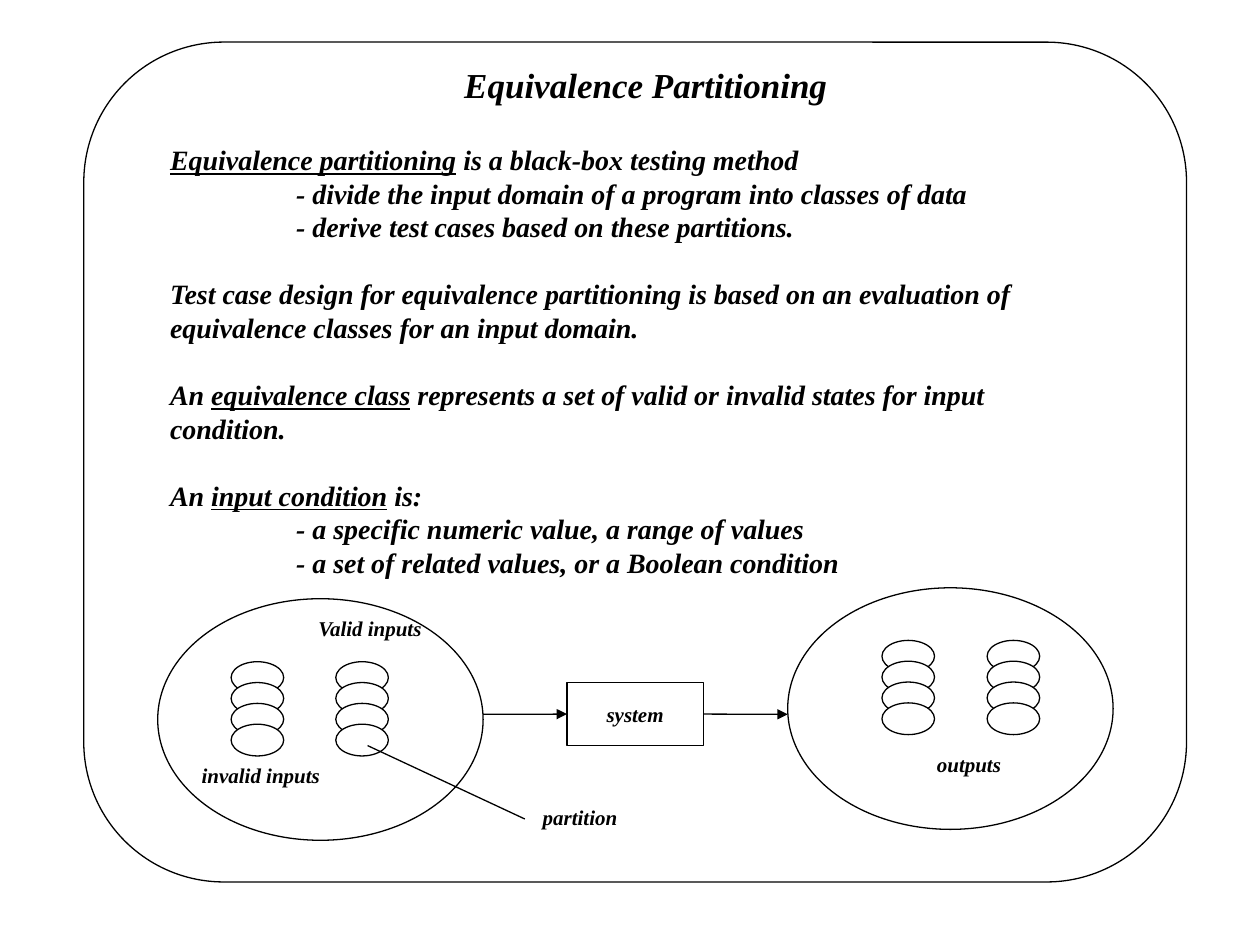
from lxml import etree
from pptx import Presentation
from pptx.dml.color import RGBColor
from pptx.enum.shapes import MSO_CONNECTOR, MSO_SHAPE
from pptx.enum.text import MSO_ANCHOR, MSO_AUTO_SIZE, PP_ALIGN
from pptx.oxml.ns import qn
from pptx.util import Cm, Pt

STRAIGHT = MSO_CONNECTOR.STRAIGHT
ELLIPSE, RECTANGLE = MSO_SHAPE.OVAL, MSO_SHAPE.RECTANGLE
FRAME = MSO_SHAPE.FLOWCHART_ALTERNATE_PROCESS
LEFT, CENTER = PP_ALIGN.LEFT, PP_ALIGN.CENTER
TOP, MIDDLE = MSO_ANCHOR.TOP, MSO_ANCHOR.MIDDLE
GROW = MSO_AUTO_SIZE.SHAPE_TO_FIT_TEXT
LEFT_SIDE, RIGHT_SIDE = 1, 3

COLORS = {"ink": "000000", "paper": "FFFFFF"}

# Each block is a list of lines; underscores enclose underlined words
BODY = [
    ["_Equivalence partitioning_ is a black-box testing method",
     "\t- divide the input domain of a program into classes of data",
     "\t- derive test cases based on these partitions."],
    ["Test case design for equivalence partitioning is based on an evaluation "
     "of equivalence classes for an input domain."],
    ["An _equivalence class_ represents a set of valid or invalid states for "
     "input condition."],
    ["An _input condition_ is:",
     "\t- a specific numeric value, a range of values",
     "\t- a set of related values, or a Boolean condition"],
]


class DiagramSlide:
    """Holds the style and the slide being drawn; lengths are in centimetres."""

    font_name = "Times New Roman"
    line_width = Pt(0.75)
    body_pitch = Pt(19.2)

    def __init__(self, slide):
        self.slide = slide

    def color(self, name):
        return RGBColor.from_string(COLORS[name])

    def format_run(self, run, size, underline=None):
        font = run.font
        font.name, font.size = self.font_name, Pt(size)
        font.bold = font.italic = True
        font.underline = underline
        font.color.rgb = self.color("ink")

    def centered_text(self, text_frame, text, size):
        text_frame.text = text
        paragraph = text_frame.paragraphs[0]
        paragraph.alignment = CENTER
        self.format_run(paragraph.runs[0], size)

    def shape(self, kind, left, top, width, height, fill="paper", text=None):
        shape = self.slide.shapes.add_shape(
            kind, Cm(left), Cm(top), Cm(width), Cm(height))
        shape.shadow.inherit = False
        if fill:
            shape.fill.solid()
            shape.fill.fore_color.rgb = self.color(fill)
        else:
            shape.fill.background()
        shape.line.color.rgb = self.color("ink")
        shape.line.width = self.line_width
        if text:
            shape.text_frame.word_wrap = False
            shape.text_frame.vertical_anchor = MIDDLE
            self.centered_text(shape.text_frame, text, 12)
        return shape

    def text_box(self, left, top, width, height, wrap, anchor=TOP):
        box = self.slide.shapes.add_textbox(
            Cm(left), Cm(top), Cm(width), Cm(height))
        box.text_frame.word_wrap = wrap
        box.text_frame.vertical_anchor = anchor
        return box.text_frame

    def title(self, text, left, top, width, height):
        text_frame = self.text_box(left, top, width, height, True, MIDDLE)
        self.centered_text(text_frame, text, 20)

    def label(self, text, left, top, width):
        text_frame = self.text_box(left, top, width, 0.76, False)
        text_frame.auto_size = GROW
        self.centered_text(text_frame, text, 12)

    def body(self, blocks, left, top, width, height):
        text_frame = self.text_box(left, top, width, height, True)
        text_frame.auto_size = GROW
        paragraph = None
        for block in blocks:
            for index, line in enumerate(block):
                is_first = paragraph is None
                paragraph = (text_frame.paragraphs[0] if is_first
                             else text_frame.add_paragraph())
                paragraph.alignment = LEFT
                paragraph.line_spacing = self.body_pitch
                if index == 0 and not is_first:
                    paragraph.space_before = self.body_pitch
                if line.startswith("\t"):
                    self.tab_stop(paragraph, 2.54)
                for part, words in enumerate(line.split("_")):
                    if words:
                        run = paragraph.add_run()
                        run.text = words
                        self.format_run(run, 16, underline=part % 2 == 1)

    def tab_stop(self, paragraph, position):
        properties = paragraph._p.get_or_add_pPr()
        tabs = etree.SubElement(properties, qn("a:tabLst"))
        etree.SubElement(tabs, qn("a:tab"), pos=str(Cm(position)), algn="l")

    def connector(self, start, end, arrow=False):
        connector = self.slide.shapes.add_connector(
            STRAIGHT, *(Cm(value) for value in start + end))
        connector.line.color.rgb = self.color("ink")
        connector.line.width = self.line_width
        if arrow:
            line = connector.line._get_or_add_ln()
            etree.SubElement(line, qn("a:tailEnd"), type="triangle")
        etree.SubElement(connector._element.spPr, qn("a:effectLst"))
        return connector

    def partition_stack(self, left, top, count=4, step=0.42):
        for index in range(count):
            self.shape(ELLIPSE, left, top + index * step, 1.06, 0.64)


def main():
    presentation = Presentation()
    presentation.slide_width, presentation.slide_height = Cm(25.4), Cm(19.05)
    diagram = DiagramSlide(
        presentation.slides.add_slide(presentation.slide_layouts[6]))

    # Frame and text
    diagram.shape(FRAME, 1.69, 0.85, 22.23, 16.93, fill=None)
    diagram.title("Equivalence Partitioning", 6.35, 1.27, 13.34, 0.85)
    diagram.body(BODY, 3.18, 2.75, 19.26, 9.07)

    # Input domain, system and output domain
    diagram.shape(ELLIPSE, 3.18, 12.07, 6.56, 4.87)
    system = diagram.shape(RECTANGLE, 11.43, 13.76, 2.75, 1.27, text="system")
    diagram.shape(ELLIPSE, 15.88, 11.85, 6.56, 4.87)
    flow_y = 14.4
    diagram.connector((9.74, flow_y), (11.43, flow_y),
                      arrow=True).end_connect(system, LEFT_SIDE)
    diagram.connector((14.18, flow_y), (15.88, flow_y),
                      arrow=True).begin_connect(system, RIGHT_SIDE)

    # Partitions within each domain
    for left, top in ((4.66, 13.34), (6.77, 13.34), (17.78, 12.91), (19.9, 12.91)):
        diagram.partition_stack(left, top)

    # Labels and the pointer to one partition
    diagram.connector((7.41, 15.03), (10.58, 16.51))
    for text, left, top, width in (
        ("Valid inputs", 6.14, 12.28, 2.64),
        ("invalid inputs", 3.81, 15.24, 2.9),
        ("outputs", 18.63, 15.03, 1.81),
        ("partition", 10.69, 16.09, 2.01),
    ):
        diagram.label(text, left, top, width)

    presentation.save("out.pptx")


if __name__ == "__main__":
    main()
